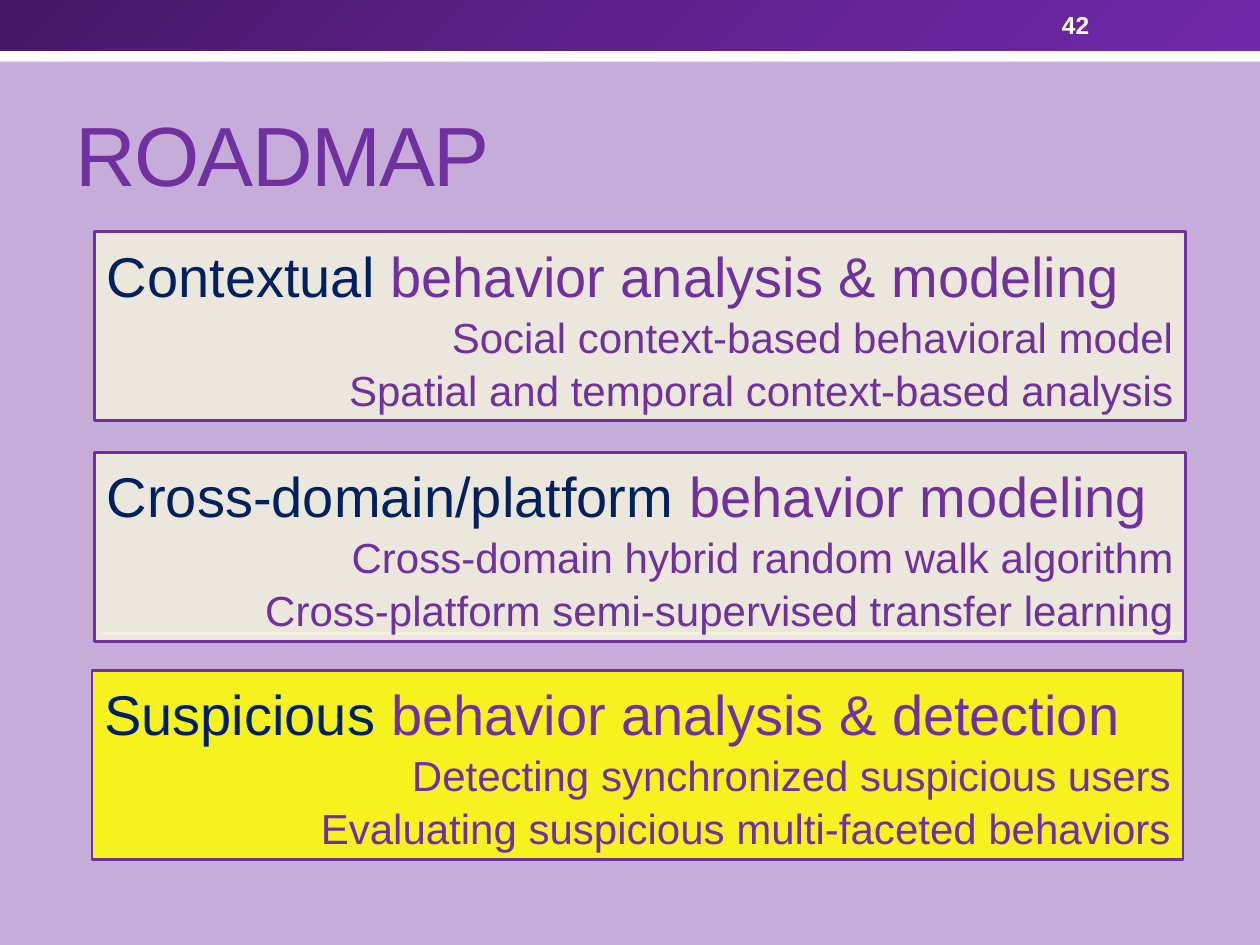
from copy import deepcopy
from lxml import etree
from pptx import Presentation
from pptx import util as u
from pptx.dml.color import RGBColor
from pptx.enum import shapes, text
from pptx.oxml import ns

Pt = u.Pt
PURPLE = RGBColor(0x70, 0x30, 0xA0)
LILAC = RGBColor(0xC6, 0xAC, 0xD9)
NAVY = RGBColor(0x00, 0x20, 0x60)
CREAM = RGBColor(0xF3, 0xF2, 0xDE)
RULE = RGBColor(0xF3, 0xF2, 0xDC)
YELLOW = RGBColor(0xFF, 0xFF, 0x00)
WHITE = RGBColor(0xFF, 0xFF, 0xFF)
BAND = [RGBColor(0x43, 0x17, 0x64), RGBColor(0x5F, 0x21, 0x8E), RGBColor(0x71, 0x28, 0xA8)]


def add_run(p, words, color, **formats):
    r = p.add_run()
    r.text = words
    r.font.color.rgb = color
    for name, value in {"name": "Arial", **formats}.items():
        setattr(r.font, name, value)
    return r


def add_rect(s, left, top, width, height):
    sp = s.shapes.add_shape(shapes.MSO_SHAPE.RECTANGLE, Pt(left), Pt(top), Pt(width), Pt(height))
    sp.shadow.inherit = False
    sp.line.fill.background()
    return sp


prs = Presentation()
prs.slide_width, prs.slide_height = Pt(720), Pt(540)
s = prs.slides.add_slide(prs.slide_layouts[6])
s.background.fill.solid()
s.background.fill.fore_color.rgb = LILAC

sp = add_rect(s, 0, 17.28, 720, 18)
sp.fill.solid()
sp.fill.fore_color.rgb = WHITE

sp = add_rect(s, 0, 0, 720, 28.8)
sp.fill.gradient()
sp.fill.gradient_angle = 315
last = sp._element.spPr.find(".//" + ns.qn("a:gsLst"))[-1]
last.addnext(deepcopy(last))
for i, stop in enumerate(sp.fill.gradient_stops):
    stop.color.rgb = BAND[i]
    stop.position = i / 2

cx = s.shapes.add_connector(shapes.MSO_CONNECTOR.STRAIGHT, Pt(57.6), Pt(362.16), Pt(675.36), Pt(362.16))
cx.line.color.rgb = RULE
cx.line.width = Pt(1.5)
etree.SubElement(cx._element.spPr, ns.qn("a:effectLst"))

topics = [
    (54, 132.48, CREAM, "Contextual ", "behavior analysis & modeling",
     ["Social context-based behavioral model", "Spatial and temporal context-based analysis"]),
    (54, 258.48, CREAM, "Cross-domain/platform ", "behavior modeling",
     ["Cross-domain hybrid random walk algorithm", "Cross-platform semi-supervised transfer learning"]),
    (52.56, 383.04, YELLOW, "Suspicious ", "behavior analysis & detection",
     ["Detecting synchronized suspicious users", "Evaluating suspicious multi-faceted behaviors"]),
]
for left, top, fill, key, rest, details in topics:
    sp = add_rect(s, left, top, 623.52, 108)
    sp.fill.solid()
    sp.fill.fore_color.rgb = fill
    color = sp._element.spPr.find(ns.qn("a:solidFill"))[0]
    etree.SubElement(color, ns.qn("a:alpha"), val="85000")
    sp.line.color.rgb = PURPLE
    sp.line.width = Pt(1.5)
    tf = sp.text_frame
    tf.vertical_anchor = text.MSO_ANCHOR.MIDDLE
    p = tf.paragraphs[0]
    p.alignment = text.PP_ALIGN.LEFT
    add_run(p, key, NAVY, size=Pt(32))
    add_run(p, rest, PURPLE, size=Pt(32))
    for detail in details:
        p = tf.add_paragraph()
        p.alignment = text.PP_ALIGN.RIGHT
        add_run(p, detail, PURPLE, size=Pt(24))
    for p in tf.paragraphs:
        p.line_spacing = 1.05

labels = [
    (36, 41.76, 648, 77.76, "BOTTOM", "ROADMAP", PURPLE, {"size": Pt(48)}, "-100"),
    (599.76, 1.44, 84.24, 25.92, "MIDDLE", "42", WHITE, {"size": Pt(14), "bold": True}, "0"),
]
for left, top, width, height, anchor, words, color, formats, spacing in labels:
    tf = s.shapes.add_textbox(Pt(left), Pt(top), Pt(width), Pt(height)).text_frame
    tf.word_wrap = True
    tf.vertical_anchor = text.MSO_ANCHOR[anchor]
    r = add_run(tf.paragraphs[0], words, color, **formats)
    r.font._element.set("spc", spacing)

prs.save("out.pptx")
